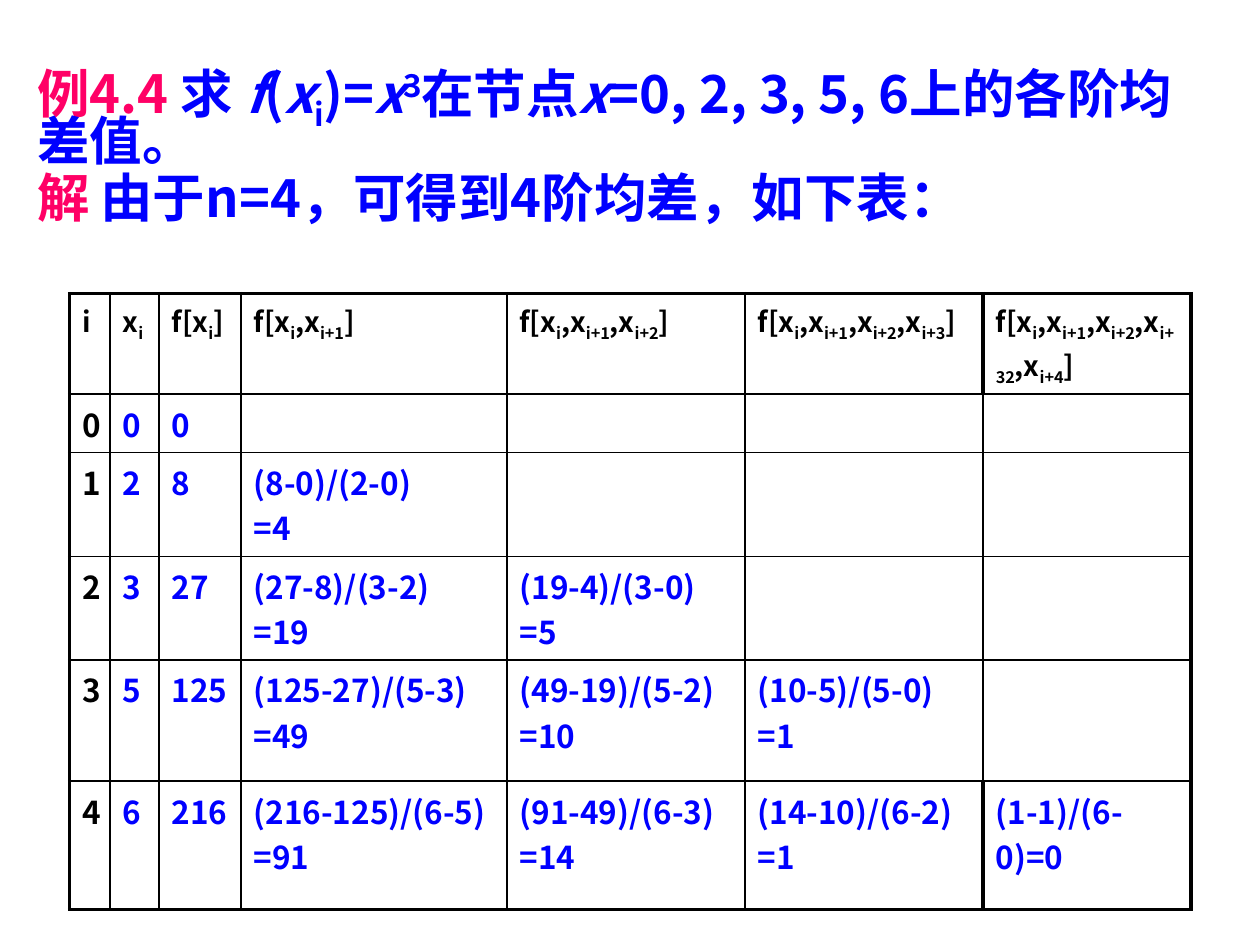
"""Build the slide on divided differences of x cubed."""
from lxml import etree
from pptx import Presentation
from pptx.dml.color import RGBColor
from pptx.enum import text as t
from pptx.oxml import ns
from pptx.util import Cm, Pt

FONT = "Noto Sans CJK SC"
HUES = {"ink": "000000", "blue": "0000FF", "pink": "FF0066"}
THICK, THIN = Pt(2.25), Pt(1)

COLS = [0.82, 0.99, 1.65, 5.36, 4.8, 4.8, 4.19]
ROWS = [1.65, 1.09, 1.9, 1.93, 2.44, 2.59]
HEAD = ["i", "x_i", "f[x_i_]", "f[x_i_,x_i+1_]", "f[x_i_,x_i+1_,x_i+2_]",
        "f[x_i_,x_i+1_,x_i+2_,x_i+3_]",
        "f[x_i_,x_i+1_,x_i+2_,x_i+32_,x_i+4_]"]
DATA = [
    ["0", "0", "0"],
    ["1", "2", "8", "(8-0)/(2-0)\n=4"],
    ["2", "3", "27", "(27-8)/(3-2)\n=19", "(19-4)/(3-0)\n=5"],
    ["3", "5", "125", "(125-27)/(5-3)\n=49", "(49-19)/(5-2)\n=10",
     "(10-5)/(5-0)\n=1"],
    ["4", "6", "216", "(216-125)/(6-5)\n=91", "(91-49)/(6-3)\n=14",
     "(14-10)/(6-2)\n=1", "(1-1)/(6-0)=0"],
]
TASK = [("例4.4 ", {"hue": "pink"}), ("求 ", {}), ("f", {"slant": True}),
        ("(", {}), ("x", {"slant": True}), ("_i_)=", {}),
        ("x", {"slant": True}), ("3", {"base": 30}), ("在节点", {}),
        ("x", {"slant": True}), ("=0, 2, 3, 5, 6上的各阶均差值。", {})]
REPLY = [("解", {"hue": "pink"}), ("\t由于n=4，可得到4阶均差，如下表：", {})]


def write(para, words, size=32, hue="blue", slant=False, base=0):
    """Add words to a paragraph, with subscripts between underscores."""
    for n, part in enumerate(words.split("_")):
        if not part:
            continue
        run = para.add_run()
        run.text = part
        font = run.font
        font.size, font.bold, font.italic = Pt(size), True, slant
        font.color.rgb = RGBColor.from_string(HUES[hue])
        font.name = FONT
        props = run._r.get_or_add_rPr()
        etree.SubElement(props, ns.qn("a:ea"), typeface=FONT)
        shift = -25 if n % 2 else base
        if shift:
            props.set("baseline", str(shift * 1000))


class Deck:
    """Hold the style and the current slide."""

    def __init__(self):
        self.prs = Presentation()
        self.prs.slide_width, self.prs.slide_height = Cm(25.4), Cm(19.05)
        self.slide = self.prs.slides.add_slide(self.prs.slide_layouts[0])
        title = self.slide.shapes.title._element
        title.getparent().remove(title)

    def lead(self, paras, left, top, width, height):
        """Fill the subtitle placeholder with formatted paragraphs."""
        box = self.slide.placeholders[1]
        box.left, box.top = Cm(left), Cm(top)
        box.width, box.height = Cm(width), Cm(height)
        frame = box.text_frame
        frame.word_wrap = True
        frame.auto_size = t.MSO_AUTO_SIZE.TEXT_TO_FIT_SHAPE
        frame.vertical_anchor = t.MSO_ANCHOR.TOP
        frame.margin_top = Cm(0.34)
        for n, runs in enumerate(paras):
            para = frame.add_paragraph() if n else frame.paragraphs[0]
            tabs = etree.SubElement(para._p.get_or_add_pPr(), ns.qn("a:tabLst"))
            etree.SubElement(tabs, ns.qn("a:tab"), pos=str(Cm(1.65)), algn="l")
            para.alignment = t.PP_ALIGN.LEFT
            para.line_spacing = 0.8
            para.space_before = Pt(7.5 if n else 0)
            for words, style in runs:
                write(para, words, **style)

    def edge(self, cell, side, width):
        """Draw one border of a cell."""
        line = etree.SubElement(cell._tc.get_or_add_tcPr(),
                                ns.qn("a:ln" + side), w=str(width))
        fill = etree.SubElement(line, ns.qn("a:solidFill"))
        etree.SubElement(fill, ns.qn("a:srgbClr"), val=HUES["ink"])

    def grid(self, left, top):
        """Add the table of differences."""
        rows, cols = len(ROWS), len(COLS)
        table = self.slide.shapes.add_table(
            rows, cols, Cm(left), Cm(top), Cm(sum(COLS)), Cm(sum(ROWS))).table
        table.first_row = table.horz_banding = False
        for col, width in zip(table.columns, COLS):
            col.width = Cm(width)
        for row, height in zip(table.rows, ROWS):
            row.height = Cm(height)
        for r, line in enumerate([HEAD] + DATA):
            ends = r in (0, rows - 1)
            for c in range(cols):
                cell = table.cell(r, c)
                last = c == cols - 1
                bold = {"L": c == 0 or (last and ends),
                        "R": last or (c == cols - 2 and ends),
                        "T": r == 0, "B": r == rows - 1}
                for side, thick in bold.items():
                    self.edge(cell, side, THICK if thick else THIN)
                cell.fill.background()
                if c < len(line):
                    self.fill(cell, line[c], size=18 if r else 16,
                              hue="blue" if r and c else "ink")

    def fill(self, cell, words, **style):
        """Put each line of words in its own paragraph of a cell."""
        frame = cell.text_frame
        for n, line in enumerate(words.split("\n")):
            para = frame.add_paragraph() if n else frame.paragraphs[0]
            write(para, line, **style)


def main():
    """Build and save the slide."""
    deck = Deck()
    deck.lead([TASK, REPLY], 0.5, 1.12, 24.4, 4.17)
    deck.grid(1.4, 5.92)
    deck.prs.save("out.pptx")


if __name__ == "__main__":
    main()
